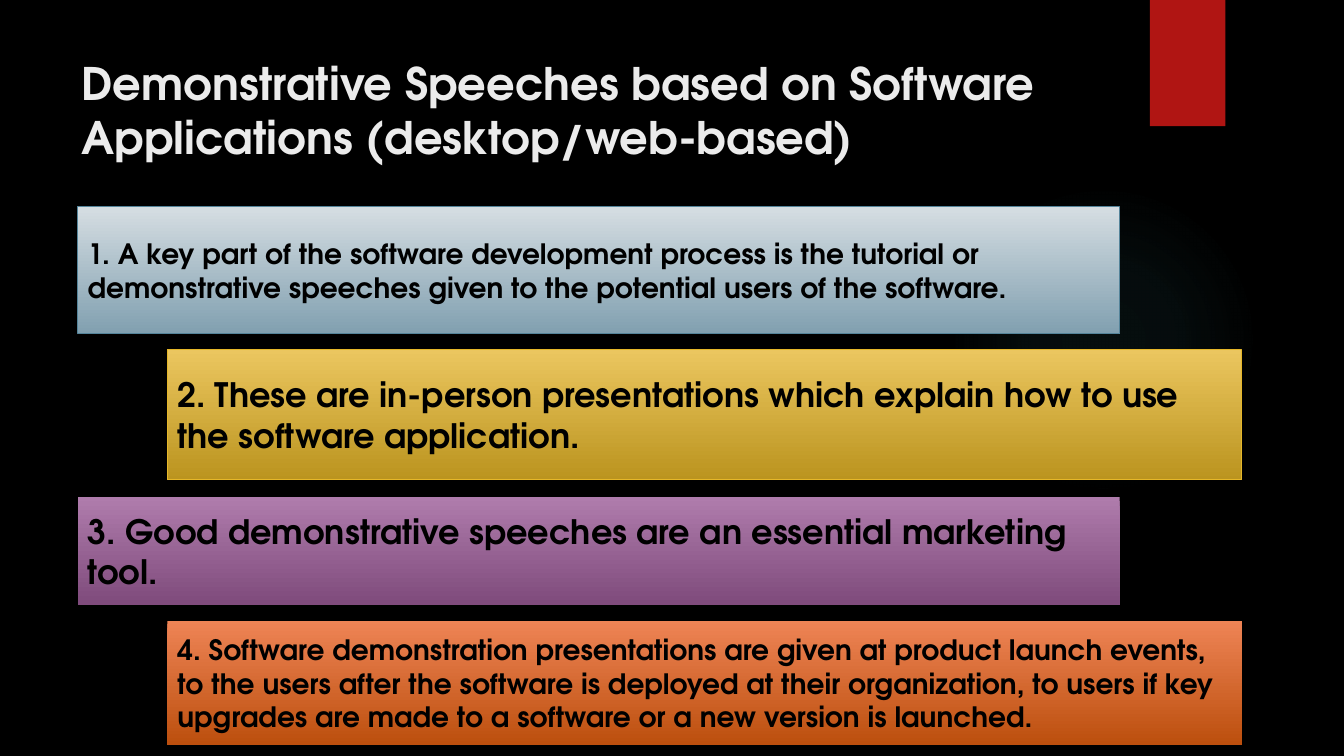
from lxml.etree import SubElement
from pptx import Presentation
from pptx.dml.color import RGBColor
from pptx.enum.shapes import MSO_SHAPE
from pptx.enum.text import MSO_ANCHOR, MSO_AUTO_SIZE, PP_ALIGN
from pptx.oxml import parse_xml
from pptx.oxml.ns import nsdecls, qn
from pptx.util import Cm, Pt

FONT = "TeX Gyre Adventor"
SOFT, DEEP = (45, 3, 2), (60, 5, 3)  # shadow opacity %, blur pt, distance pt

LEFT, LEFT_W = 1.96, 26.26
RIGHT, RIGHT_W = 4.22, 27.08

# box in cm, gradient top and bottom, line, shadow, text size, text
BARS = [
    ((LEFT, 5.21, LEFT_W, 3.2), "D5DDE2", "81A0B0", "54849A", None, 20,
     "1. A key part of the software development process is the tutorial or "
     "demonstrative speeches given to the potential users of the software."),
    ((RIGHT, 8.81, RIGHT_W, 3.28), "EBC65F", "BB941F", "E6B729", SOFT, 24,
     "2. These are in-person presentations which explain how to use the "
     "software application."),
    ((LEFT, 12.52, LEFT_W, 2.72), "AF7CAC", "7F4B7C", None, DEEP, 24,
     "3. Good demonstrative speeches are an essential marketing tool."),
    ((RIGHT, 15.65, RIGHT_W, 3.12), "EE8455", "BC4F0E", None, DEEP, 20,
     "4. Software demonstration presentations are given at product launch "
     "events, to the users after the software is deployed at their "
     "organization, to users if key upgrades are made to a software or a new "
     "version is launched."),
]


def rgb(value):
    return RGBColor.from_string(value)


def write(tf, text, size, color, anchor):
    tf.text = text
    tf.word_wrap = True
    tf.auto_size = MSO_AUTO_SIZE.NONE
    tf.vertical_anchor = anchor
    p = tf.paragraphs[0]
    p.alignment = PP_ALIGN.LEFT
    font = p.runs[0].font
    font.name, font.size, font.bold = FONT, Pt(size), True
    font.color.rgb = rgb(color)


def add_shape(slide, kind, box, shadow=None):
    sp = slide.shapes.add_shape(kind, *[Cm(v) for v in box])
    sp.shadow.inherit = False
    sp.line.fill.background()
    if shadow:
        alpha, blur, dist = shadow
        effects = sp._element.spPr.find(qn("a:effectLst"))
        outer = SubElement(effects, qn("a:outerShdw"), blurRad=str(Pt(blur)),
                           dist=str(Pt(dist)), dir="5400000", rotWithShape="0")
        clr = SubElement(outer, qn("a:srgbClr"), val="000000")
        SubElement(clr, qn("a:alpha"), val=str(alpha * 1000))
    return sp


def add_glow(slide, box):
    sp = add_shape(slide, MSO_SHAPE.OVAL, box)
    stops = "".join(
        f'<a:gs pos="{pos}000"><a:srgbClr val="50B9C1">'
        f'<a:alpha val="{alpha}000"/></a:srgbClr></a:gs>'
        for pos, alpha in [(0, 7), (36, 6), (69, 0)])
    grad = parse_xml(
        f'<a:gradFill {nsdecls("a")}><a:gsLst>{stops}</a:gsLst>'
        '<a:path path="circle"><a:fillToRect l="50000" t="50000" '
        'r="50000" b="50000"/></a:path></a:gradFill>')
    sp._element.spPr.find(qn("a:prstGeom")).addnext(grad)


def add_ribbon(slide, box):
    sp = add_shape(slide, MSO_SHAPE.RECTANGLE, box, SOFT)
    sp.fill.solid()
    sp.fill.fore_color.rgb = rgb("B01513")


def add_title(slide, box, text):
    sp = slide.shapes.title
    sp.left, sp.top, sp.width, sp.height = [Cm(v) for v in box]
    write(sp.text_frame, text, 32, "EBEBEB", MSO_ANCHOR.TOP)


def add_bar(slide, box, top_color, bottom_color, line, shadow, size, text):
    sp = add_shape(slide, MSO_SHAPE.RECTANGLE, box, shadow)
    sp.fill.gradient()
    sp.fill.gradient_angle = 270  # top to bottom
    for stop, color in zip(sp.fill.gradient_stops, (top_color, bottom_color)):
        stop.color.rgb = rgb(color)
    if line:
        sp.line.color.rgb = rgb(line)
        sp.line.width = Pt(0.75)
    write(sp.text_frame, text, size, "000000", MSO_ANCHOR.MIDDLE)


def main():
    prs = Presentation()
    prs.slide_width, prs.slide_height = Cm(33.87), Cm(19.05)
    slide = prs.slides.add_slide(prs.slide_layouts[5])
    slide.background.fill.solid()
    slide.background.fill.fore_color.rgb = rgb("000000")

    # Backdrop
    add_glow(slide, (23.9, 4.65, 7.82, 7.82))
    add_ribbon(slide, (28.98, 0, 1.9, 3.18))

    # Title and staggered bars
    add_title(slide, (1.8, 1.27, 26.14, 3.89),
              "Demonstrative Speeches based on Software Applications "
              "(desktop/web-based)")
    for bar in BARS:
        add_bar(slide, *bar)

    prs.save("out.pptx")


if __name__ == "__main__":
    main()
